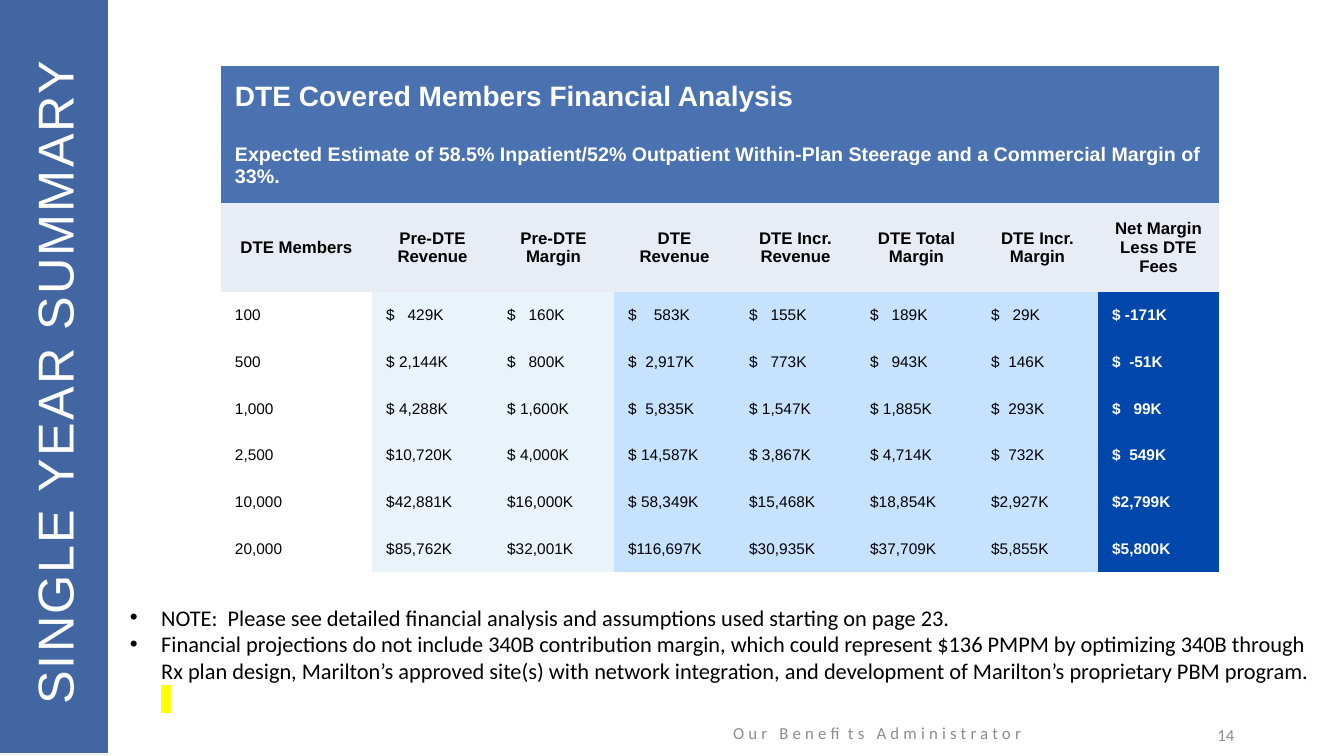
"""Build the single year summary slide with its financial table."""
from lxml.etree import SubElement
from pptx import Presentation
from pptx.dml.color import RGBColor
from pptx.enum.shapes import MSO_SHAPE
from pptx.enum.text import MSO_ANCHOR, PP_ALIGN
from pptx.oxml.ns import qn
from pptx.util import Inches, Pt

WHITE = RGBColor(0xFF, 0xFF, 0xFF)
BLACK = RGBColor(0x00, 0x00, 0x00)
GREY = RGBColor(0x8C, 0x8C, 0x8C)
LIGHT_GREY = RGBColor(0xF2, 0xF2, 0xF2)
SIDEBAR_BLUE = RGBColor(0x25, 0x4F, 0x96)
BANNER_BLUE = RGBColor(0x4A, 0x72, 0xB0)
HEADER_BLUE = RGBColor(0xE7, 0xEC, 0xF5)
BEFORE_BLUE = RGBColor(0xE8, 0xF4, 0xF9)
AFTER_BLUE = RGBColor(0xC6, 0xE2, 0xFF)
NET_BLUE = RGBColor(0x00, 0x47, 0xAB)

BANNERS = [
    ("DTE Covered Members Financial Analysis", 20),
    ("Expected Estimate of 58.5% Inpatient/52% Outpatient Within-Plan Steerage "
     "and a Commercial Margin of 33%.", 14),
]
HEADERS = ["DTE Members", "Pre-DTE Revenue", "Pre-DTE Margin", "DTE Revenue",
           "DTE Incr. Revenue", "DTE Total Margin", "DTE Incr. Margin",
           "Net Margin Less DTE Fees"]
FIGURES = [
    ["100", "$   429K", "$   160K", "$    583K", "$   155K", "$   189K", "$   29K", "$ -171K"],
    ["500", "$ 2,144K", "$   800K", "$  2,917K", "$   773K", "$   943K", "$  146K", "$  -51K"],
    ["1,000", "$ 4,288K", "$ 1,600K", "$  5,835K", "$ 1,547K", "$ 1,885K", "$  293K", "$   99K"],
    ["2,500", "$10,720K", "$ 4,000K", "$ 14,587K", "$ 3,867K", "$ 4,714K", "$  732K", "$  549K"],
    ["10,000", "$42,881K", "$16,000K", "$ 58,349K", "$15,468K", "$18,854K", "$2,927K", "$2,799K"],
    ["20,000", "$85,762K", "$32,001K", "$116,697K", "$30,935K", "$37,709K", "$5,855K", "$5,800K"],
]
COLUMN_FILLS = [None] + [BEFORE_BLUE] * 2 + [AFTER_BLUE] * 4 + [NET_BLUE]
COLUMN_UNITS = [5] + [4] * 7
ROW_UNITS = [31, 37, 44] + [23] * 6
NOTES = [
    "NOTE:  Please see detailed financial analysis and assumptions used starting on page 23.",
    "Financial projections do not include 340B contribution margin, which could represent "
    "$136 PMPM by optimizing 340B through Rx plan design, Marilton’s approved site(s) with "
    "network integration, and development of Marilton’s proprietary PBM program.",
]

deck = Presentation()
deck.slide_width, deck.slide_height = Inches(13.33), Inches(7.5)
slide = deck.slides.add_slide(deck.slide_layouts[6])
slide.background.fill.solid()
slide.background.fill.fore_color.rgb = WHITE


def percent(left, top, width, height):
    """Turn percentages of the slide into lengths."""
    across, down = deck.slide_width / 100, deck.slide_height / 100
    return [int(length) for length in (left * across, top * down, width * across, height * down)]


def add_text(paragraph, text, size, color, font="Arial", bold=False, spacing=0):
    """Add one styled run."""
    run = paragraph.add_run()
    run.text = text
    run.font.name, run.font.size, run.font.bold = font, Pt(size), bold
    run.font.color.rgb = color
    if spacing:
        run.font._element.set("spc", str(int(spacing * 100)))
    return run


for top, color, opacity in [(0, LIGHT_GREY, 100), (-0.4, SIDEBAR_BLUE, 86)]:
    sidebar = slide.shapes.add_shape(MSO_SHAPE.RECTANGLE, *percent(0, top, 8.03, 100))
    sidebar.shadow.inherit = False
    sidebar.fill.solid()
    sidebar.fill.fore_color.rgb = color
    sidebar.line.fill.background()
    if opacity < 100:
        tint = sidebar._element.spPr.find(qn("a:solidFill"))[0]
        SubElement(tint, qn("a:alpha")).set("val", str(opacity * 1000))

LABELS = [
    ("Our Benefits Administrator", (48.39, 94.27, 33.76, 5.33), PP_ALIGN.CENTER, 12, GREY, "Calibri", 3, 0),
    ("14", (70.07, 94.53, 22.51, 5.33), PP_ALIGN.RIGHT, 12, GREY, "Calibri", 0, 0),
    ("SINGLE YEAR SUMMARY", (-21.23, 44.27, 50.41, 10.93), PP_ALIGN.LEFT, 36, WHITE, "Arial", 1.5, 270),
]
for text, area, alignment, size, color, font, spacing, rotation in LABELS:
    label = slide.shapes.add_textbox(*percent(*area))
    label.rotation = rotation
    label.text_frame.word_wrap = True
    label.text_frame.vertical_anchor = MSO_ANCHOR.MIDDLE
    line = label.text_frame.paragraphs[0]
    line.alignment = alignment
    add_text(line, text, size, color, font, spacing=spacing)

notes = slide.shapes.add_textbox(*percent(8.93, 79.2, 89.27, 12.13)).text_frame
notes.word_wrap = True
for index, text in enumerate(NOTES):
    note = notes.add_paragraph() if index else notes.paragraphs[0]
    indent = Inches(0.31)
    note_format = note._p.get_or_add_pPr()
    note_format.set("marL", str(indent))
    note_format.set("indent", str(-indent))
    SubElement(note_format, qn("a:buFont")).set("typeface", "Arial")
    SubElement(note_format, qn("a:buChar")).set("char", "•")
    add_text(note, text, 16, BLACK, "Calibri")
marker = add_text(note, "   ", 16, BLACK, "Calibri")
highlight = marker.font._element.makeelement(qn("a:highlight"))
SubElement(highlight, qn("a:srgbClr")).set("val", "FFFF00")
marker.font._element.find(qn("a:solidFill")).addnext(highlight)

area = percent(16.43, 8.67, 74.27, 66.67)
table = slide.shapes.add_table(len(ROW_UNITS), len(COLUMN_UNITS), *area).table
table.first_row = table.horz_banding = False
for column, units in zip(table.columns, COLUMN_UNITS):
    column.width = area[2] * units // sum(COLUMN_UNITS)
for row, units in zip(table.rows, ROW_UNITS):
    row.height = area[3] * units // sum(ROW_UNITS)

entries = []
for row, (text, size) in enumerate(BANNERS):
    table.cell(row, 0).merge(table.cell(row, len(HEADERS) - 1))
    entries.append((row, 0, text, size, WHITE, True, BANNER_BLUE, PP_ALIGN.LEFT))
for column, text in enumerate(HEADERS):
    entries.append((2, column, text, 12, BLACK, True, HEADER_BLUE, PP_ALIGN.CENTER))
for row, values in enumerate(FIGURES, start=3):
    for column, (text, fill) in enumerate(zip(values, COLUMN_FILLS)):
        is_net = fill == NET_BLUE
        entries.append((row, column, text, 11, WHITE if is_net else BLACK, is_net, fill, PP_ALIGN.LEFT))

for row, column, text, size, color, bold, fill, alignment in entries:
    cell = table.cell(row, column)
    cell.margin_left = cell.margin_right = 0
    cell.margin_top = cell.margin_bottom = Inches(0.14)
    cell.vertical_anchor = MSO_ANCHOR.MIDDLE
    if fill is None:
        cell.fill.background()
    else:
        cell.fill.solid()
        cell.fill.fore_color.rgb = fill
    line = cell.text_frame.paragraphs[0]
    line.alignment = alignment
    for side in ("marL", "marR"):
        line._p.get_or_add_pPr().set(side, str(Inches(0.14)))
    add_text(line, text, size, color, bold=bold)
    for edge in ("a:lnB", "a:lnT", "a:lnR", "a:lnL"):
        border = cell._tc.tcPr.makeelement(qn(edge), {"w": "0"})
        SubElement(border, qn("a:noFill"))
        cell._tc.tcPr.insert(0, border)

deck.save("out.pptx")
